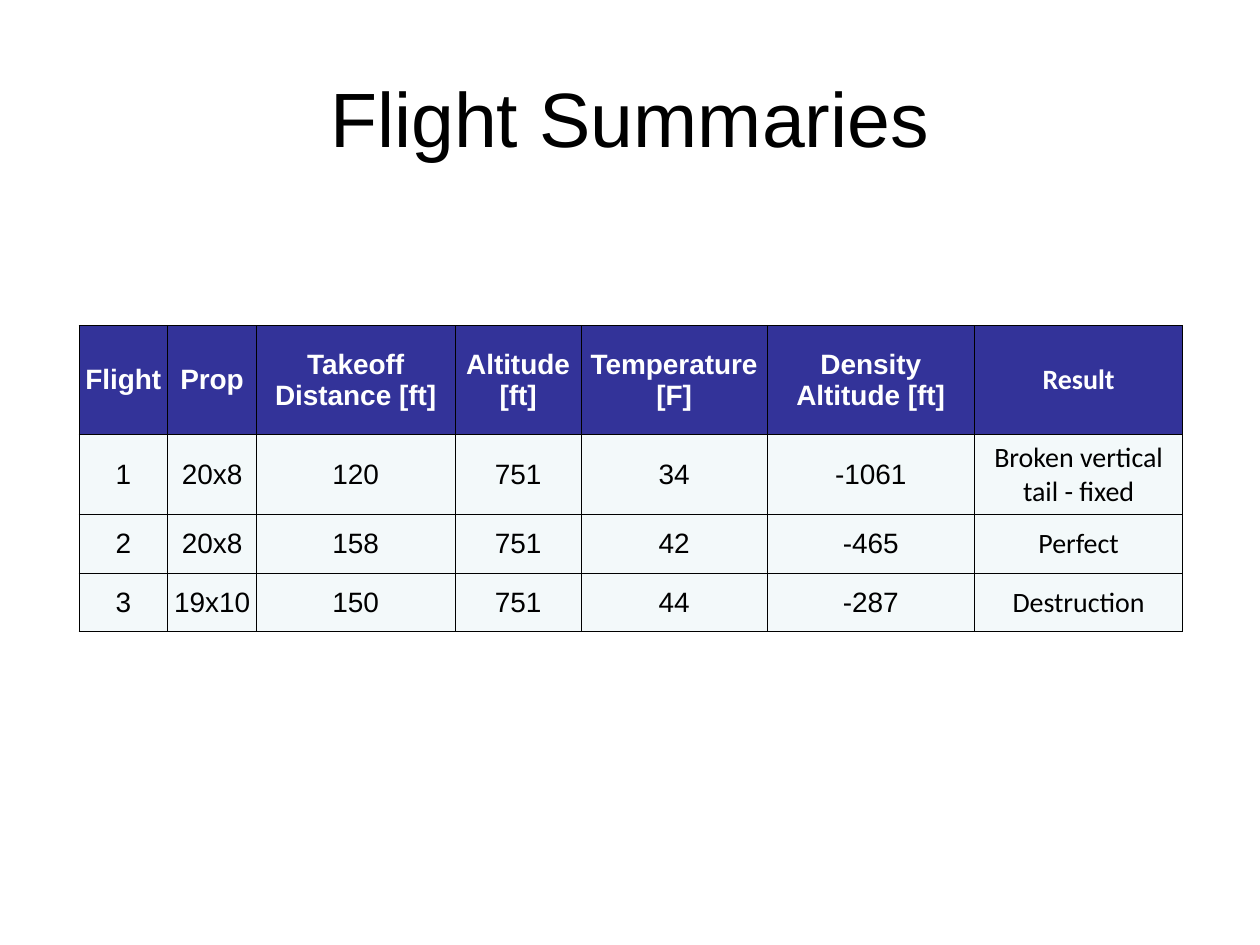
from dataclasses import dataclass

import lxml.etree
import pptx
import pptx.dml.color
import pptx.enum.text
import pptx.oxml.ns
import pptx.util

Cm = pptx.util.Cm
Pt = pptx.util.Pt
RGB = pptx.dml.color.RGBColor.from_string
qn = pptx.oxml.ns.qn


@dataclass(frozen=True)
class Theme:
    ink: str = "000000"
    header_fill: str = "333399"
    header_ink: str = "FFFFFF"
    body_fill: str = "F3F9FA"
    font: str = "Arial"
    result_font: str = "Calibri"
    title_size: int = 44
    table_size: int = 16
    border_width: float = 0.45


theme = Theme()


def write(frame, text, *, size, font=theme.font, color=theme.ink, bold=False):
    frame.word_wrap = True
    paragraph = frame.paragraphs[0]
    paragraph.alignment = pptx.enum.text.PP_ALIGN.CENTER
    run = paragraph.add_run()
    run.text = text
    run.font.size = Pt(size)
    run.font.name = font
    run.font.bold = bold
    run.font.color.rgb = RGB(color)


def outline(cell):
    """Draw a thin line on all four sides of a table cell."""
    properties = cell._tc.get_or_add_tcPr()
    for position, side in enumerate(("lnL", "lnR", "lnT", "lnB")):
        line = lxml.etree.Element(qn(f"a:{side}"), w=str(int(Pt(theme.border_width))))
        fill = lxml.etree.SubElement(line, qn("a:solidFill"))
        lxml.etree.SubElement(fill, qn("a:srgbClr"), val=theme.ink)
        properties.insert(position, line)


deck = pptx.Presentation()
deck.slide_width, deck.slide_height = Cm(25.4), Cm(19.05)
slide = deck.slides.add_slide(deck.slide_layouts[6])

title = slide.shapes.add_textbox(Cm(1.27), Cm(0.76), Cm(22.86), Cm(3.18)).text_frame
title.vertical_anchor = pptx.enum.text.MSO_ANCHOR.MIDDLE
write(title, "Flight Summaries", size=theme.title_size)

flights = [
    ["Flight", "Prop", "Takeoff Distance [ft]", "Altitude [ft]",
     "Temperature [F]", "Density Altitude [ft]", "Result"],
    ["1", "20x8", "120", "751", "34", "-1061", "Broken vertical tail - fixed"],
    ["2", "20x8", "158", "751", "42", "-465", "Perfect"],
    ["3", "19x10", "150", "751", "44", "-287", "Destruction"],
]
column_widths = [1.79, 1.79, 4, 2.55, 3.74, 4.19, 4.19]
row_heights = [2.2, 1.37, 1.18, 1.18]

summary = slide.shapes.add_table(
    len(flights), len(column_widths), Cm(1.59), Cm(6.56),
    Cm(sum(column_widths)), Cm(sum(row_heights)),
).table
for column, width in zip(summary.columns, column_widths):
    column.width = Cm(width)
for row, height in zip(summary.rows, row_heights):
    row.height = Cm(height)

for row_number, flight in enumerate(flights):
    is_header = row_number == 0
    for column_number, value in enumerate(flight):
        is_result = column_number == len(flight) - 1
        cell = summary.cell(row_number, column_number)
        cell.margin_left = cell.margin_right = Cm(0.03)
        cell.margin_top = cell.margin_bottom = Cm(0.13)
        cell.vertical_anchor = pptx.enum.text.MSO_ANCHOR.MIDDLE
        cell.fill.solid()
        cell.fill.fore_color.rgb = RGB(theme.header_fill if is_header else theme.body_fill)
        outline(cell)
        write(
            cell.text_frame, value, size=theme.table_size, bold=is_header,
            font=theme.result_font if is_result else theme.font,
            color=theme.header_ink if is_header else theme.ink,
        )

deck.save("out.pptx")
